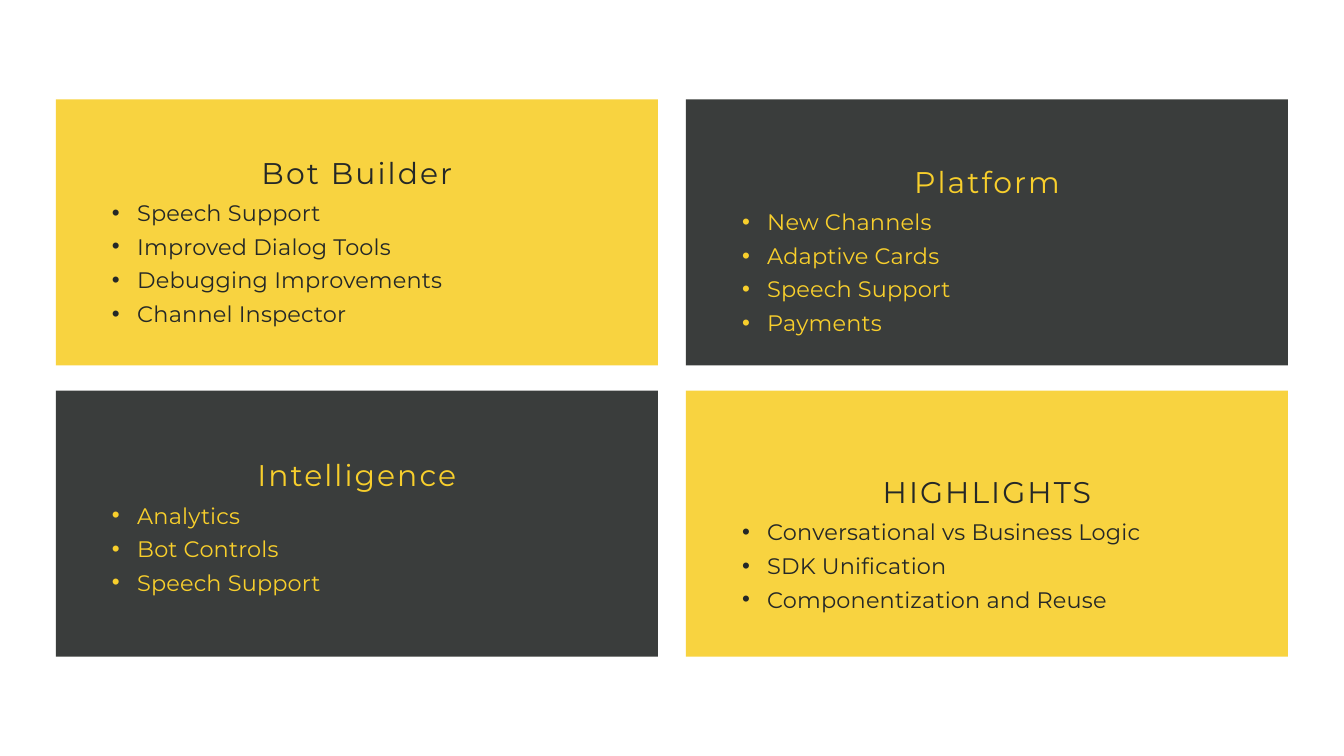
from lxml import etree
from pptx import Presentation
from pptx import util as u
from pptx.dml.color import RGBColor
from pptx.enum import shapes, text
from pptx.oxml.ns import qn

PX = 9525
FONT = "Montserrat"
COLORS = {"yellow": "F8CF2C", "dark": "252827"}
CARD_W, CARD_H = 860, 380
CARD_LEFT, CARD_TOP = 80, 142
STEP_X, STEP_Y = 900, 416
TEXT_INSET, TEXT_W = 80, 700
HEADING_H, LIST_OFFSET = 55, 63
LINE_H = 48

# row, column, fill, text colour, heading top, heading, list alignment, items
CARDS = [
    (0, 0, "yellow", "dark", 212, "Bot Builder", text.PP_ALIGN.LEFT,
     ["Speech Support", "Improved Dialog Tools", "Debugging Improvements", "Channel Inspector"]),
    (0, 1, "dark", "yellow", 225, "Platform", text.PP_ALIGN.JUSTIFY,
     ["New Channels", "Adaptive Cards", "Speech Support", "Payments"]),
    (1, 0, "dark", "yellow", 644, "Intelligence", text.PP_ALIGN.LEFT,
     ["Analytics", "Bot Controls", "Speech Support"]),
    (1, 1, "yellow", "dark", 668, "HIGHLIGHTS", text.PP_ALIGN.LEFT,
     ["Conversational vs Business Logic", "SDK Unification", "Componentization and Reuse"]),
]


def px(n):
    return u.Emu(n * PX)


def card_left(col):
    return CARD_LEFT + col * STEP_X


def add_card(s, row, col, fill):
    sp = s.shapes.add_shape(shapes.MSO_SHAPE.RECTANGLE, px(card_left(col)),
                            px(CARD_TOP + row * STEP_Y), px(CARD_W), px(CARD_H))
    sp.shadow.inherit = False
    sp.line.fill.background()
    sp.fill.solid()
    sp.fill.fore_color.rgb = RGBColor.from_string(COLORS[fill])
    clr = sp.element.spPr.find(".//" + qn("a:srgbClr"))
    etree.SubElement(clr, qn("a:alpha"), val="90000")


def place_text(s, sp, left, top, height):
    """Bring a text shape to the front, place it and clear its inherited frame settings."""
    s.shapes.element.append(sp.element)
    sp.left, sp.top, sp.width, sp.height = px(left), px(top), px(TEXT_W), px(height)
    tf = sp.text_frame
    tf.word_wrap = True
    tf.auto_size = text.MSO_AUTO_SIZE.NONE
    tf.vertical_anchor = text.MSO_ANCHOR.TOP
    tf.margin_left = tf.margin_right = tf.margin_top = tf.margin_bottom = 0
    return tf


def add_run(p, words, size, color, tracking, line_pt, align):
    """Add a run; tracking is in hundredths of a point."""
    p.alignment = align
    p.line_spacing = u.Pt(line_pt)
    p.space_before = p.space_after = u.Pt(0)
    r = p.add_run()
    r.text = words
    r.font.name = FONT
    r.font.size = u.Pt(size)
    r.font.bold = False
    r.font.color.rgb = RGBColor.from_string(COLORS[color])
    r.font._element.set("spc", str(tracking))


def add_bullet(p):
    pPr = p._p.get_or_add_pPr()
    pPr.set("marL", str(px(36)))
    pPr.set("indent", str(px(-36)))
    etree.SubElement(pPr, qn("a:buFont"), typeface="Arial")
    etree.SubElement(pPr, qn("a:buChar"), char="•")


def fill_heading(s, sp, left, top, words, color):
    tf = place_text(s, sp, left, top, HEADING_H)
    add_run(tf.paragraphs[0], words, 32, color, 220, 44.8, text.PP_ALIGN.CENTER)


def fill_list(s, sp, left, top, items, color, align):
    tf = place_text(s, sp, left, top, LINE_H * len(items))
    for i, item in enumerate(items):
        p = tf.add_paragraph() if i else tf.paragraphs[0]
        add_bullet(p)
        add_run(p, item, 24, color, 20, 36, align)


def main():
    prs = Presentation()
    prs.slide_width, prs.slide_height = px(1920), px(1080)
    # The Comparison layout has one title and four body placeholders
    s = prs.slides.add_slide(prs.slide_layouts.get_by_name("Comparison"))
    title, *bodies = list(s.placeholders)

    for row, col, fill, *_ in CARDS:
        add_card(s, row, col, fill)

    for i, (row, col, fill, color, top, heading, align, items) in enumerate(CARDS):
        left = card_left(col) + TEXT_INSET
        sp = s.shapes.add_textbox(0, 0, 0, 0) if i else title
        fill_heading(s, sp, left, top, heading, color)
        fill_list(s, bodies[i], left, top + LIST_OFFSET, items, color, align)

    prs.save("out.pptx")


if __name__ == "__main__":
    main()
